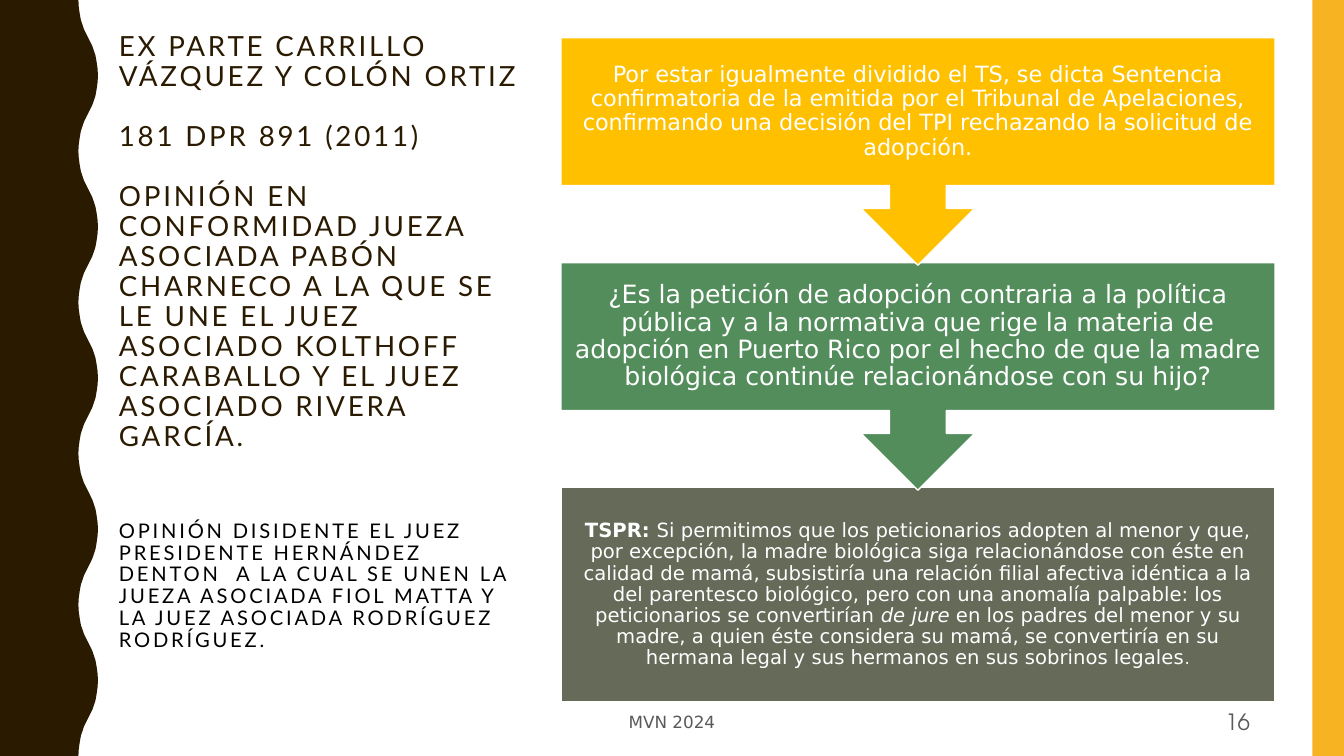
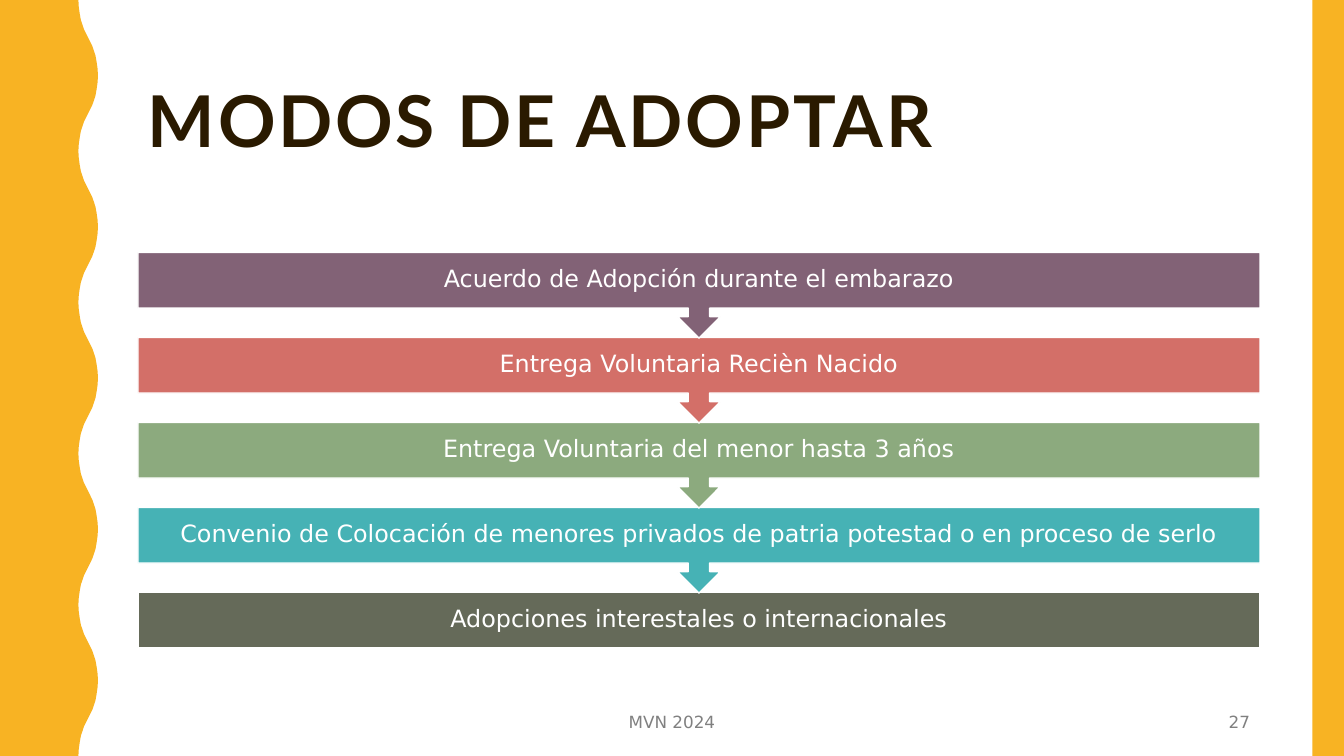
"""Builds two slides on adoption law, each with a wavy side band and a chain of steps."""
from pptx import Presentation
from pptx.dml.color import RGBColor
from pptx.enum.shapes import MSO_SHAPE
from pptx.enum.text import MSO_ANCHOR, PP_ALIGN
from pptx.util import Pt

WIDTH, HEIGHT = 960, 540
GOLD, BROWN, WHITE, BLACK, OLIVE = "F8B323", "2A1A00", "FFFFFF", "000000", "656A59"
BODY, HEAD = "DejaVu Sans", "Lato"
HALF_WAVE = 54
WAVE = [(56, 0), (56.3, 5), (57, 10), (57.8, 14.4), (59, 18), (60, 21), (61.5, 24), (63, 27),
        (64.5, 30), (66, 33), (67, 36), (68.2, 39.6), (69, 44), (69.7, 49), (70, 54)]

SLIDES = [
    {
        "band": BROWN,
        "title_box": (77.8, 23.5, 306, 496),
        "title_anchor": MSO_ANCHOR.TOP,
        "title": [
            ("EX PARTE CARRILLO VÁZQUEZ Y COLÓN ORTIZ", 19.8, BROWN, False, 0),
            ("181 DPR 891 (2011)", 19.8, BROWN, False, 21.4),
            ("OPINIÓN EN CONFORMIDAD JUEZA ASOCIADA PABÓN CHARNECO A LA QUE SE LE UNE EL JUEZ "
             "ASOCIADO KOLTHOFF CARABALLO Y EL JUEZ ASOCIADO RIVERA GARCÍA.", 19.8, BROWN, False, 21.4),
            ("OPINIÓN DISIDENTE EL JUEZ PRESIDENTE HERNÁNDEZ DENTON  A LA CUAL SE UNEN LA JUEZA "
             "ASOCIADA FIOL MATTA Y LA JUEZ ASOCIADA RODRÍGUEZ RODRÍGUEZ.", 14.4, BLACK, False, 49),
        ],
        "footer": "595959",
        "number": ("16", 16, "TeX Gyre Adventor"),
        "chain": (400.6, 26.9, 510.2, 160.7),
        "callout_height": 162.6,
        "last_height": 153.2,
        "steps": [
            ("FFC000", 8.6, [
                ("Por estar igualmente dividido el TS, se dicta Sentencia confirmatoria de la emitida por el "
                 "Tribunal de Apelaciones, confirmando una decisión del TPI rechazando la solicitud de "
                 "adopción.", 16, False, False)]),
            ("528D5B", 9.6, [
                ("¿Es la petición de adopción contraria a la política pública y a la normativa que rige la "
                 "materia de adopción en Puerto Rico por el hecho de que la madre biológica continúe "
                 "relacionándose con su hijo?", 18, False, False)]),
            (OLIVE, 7.8, [
                ("TSPR: ", 14, True, False),
                ("Si permitimos que los peticionarios adopten al menor y que, por excepción, la madre "
                 "biológica siga relacionándose con éste en calidad de mamá, subsistiría una relación filial "
                 "afectiva idéntica a la del parentesco biológico, pero con una anomalía palpable: los "
                 "peticionarios se convertirían ", 14, False, False),
                ("de jure ", 14, False, True),
                ("en los padres del menor y su madre, a quien éste considera su mamá, se convertiría en su "
                 "hermana legal y sus hermanos en sus sobrinos legales", 14, False, False),
                (".", 12, False, False)]),
        ],
    },
    {
        "band": GOLD,
        "title_box": (98.6, 30.2, 801.4, 117.4),
        "title_anchor": MSO_ANCHOR.MIDDLE,
        "title": [("MODOS DE ADOPTAR", 51, BROWN, True, 0)],
        "footer": "808080",
        "number": ("27", 12, BODY),
        "chain": (98.6, 180.3, 801.4, 60.7),
        "callout_height": 61.2,
        "last_height": 39.6,
        "steps": [
            (colour, 9.4, [(text, 17, False, False)]) for colour, text in [
                ("826276", "Acuerdo de Adopción durante el embarazo"),
                ("D36F68", "Entrega Voluntaria Recièn Nacido"),
                ("8CAA7E", "Entrega Voluntaria del menor hasta 3 años"),
                ("46B2B5", "Convenio de Colocación de menores privados de patria potestad o en proceso de serlo"),
                (OLIVE, "Adopciones interestales o internacionales"),
            ]
        ],
    },
]


def paint(sp, fill, line=None):
    sp.shadow.inherit = False
    sp.fill.solid()
    sp.fill.fore_color.rgb = RGBColor.from_string(fill)
    if line:
        sp.line.color.rgb = RGBColor.from_string(line)
        sp.line.width = Pt(1)
    else:
        sp.line.fill.background()


def write(p, text, size, font, colour, bold=False, italic=False):
    r = p.add_run()
    r.text = text
    r.font.size = Pt(size)
    r.font.name = font
    r.font.bold = bold
    r.font.italic = italic
    r.font.color.rgb = RGBColor.from_string(colour)
    return r


prs = Presentation()
prs.slide_width, prs.slide_height = Pt(WIDTH), Pt(HEIGHT)

for page in SLIDES:
    s = prs.slides.add_slide(prs.slide_layouts[6])

    edge = []
    for k in range(HEIGHT // HALF_WAVE):
        for x, y in WAVE:
            edge.append((Pt(126 - x if k % 2 else x), Pt(k * HALF_WAVE + y)))
    outline = s.shapes.build_freeform(0, 0)
    outline.add_line_segments(edge + [(0, Pt(HEIGHT))], close=True)
    paint(outline.convert_to_shape(), page["band"])
    paint(s.shapes.add_shape(MSO_SHAPE.RECTANGLE, Pt(937.5), 0, Pt(22.5), Pt(HEIGHT)), GOLD)

    tf = s.shapes.add_textbox(*map(Pt, page["title_box"])).text_frame
    tf.word_wrap = True
    tf.vertical_anchor = page["title_anchor"]
    tf.margin_top = tf.margin_bottom = 0
    for i, (text, size, colour, bold, before) in enumerate(page["title"]):
        p = tf.add_paragraph() if i else tf.paragraphs[0]
        p.line_spacing = 0.9
        if before:
            p.space_before = Pt(before)
        r = write(p, text, size, HEAD, colour, bold)
        r._r.get_or_add_rPr().set("spc", "200")

    for left, width, align, label in [
        (318, 324, PP_ALIGN.CENTER, ("MVN 2024", 12, BODY)),
        (678, 222, PP_ALIGN.RIGHT, page["number"]),
    ]:
        tf = s.shapes.add_textbox(Pt(left), Pt(502), Pt(width), Pt(27)).text_frame
        tf.word_wrap = True
        tf.vertical_anchor = MSO_ANCHOR.MIDDLE
        tf.paragraphs[0].alignment = align
        write(tf.paragraphs[0], *label, page["footer"])

    left, top, width, pitch = page["chain"]
    last = len(page["steps"]) - 1
    for i, (colour, inset, runs) in reversed(list(enumerate(page["steps"]))):
        kind = MSO_SHAPE.RECTANGLE if i == last else MSO_SHAPE.DOWN_ARROW_CALLOUT
        height = page["last_height"] if i == last else page["callout_height"]
        sp = s.shapes.add_shape(kind, Pt(left), Pt(top + i * pitch), Pt(width), Pt(height))
        paint(sp, colour, WHITE)
        tf = sp.text_frame
        tf.word_wrap = True
        tf.vertical_anchor = MSO_ANCHOR.MIDDLE
        tf.margin_left = tf.margin_right = tf.margin_top = tf.margin_bottom = Pt(inset)
        p = tf.paragraphs[0]
        p.alignment = PP_ALIGN.CENTER
        p.line_spacing = 0.9
        for text, size, bold, italic in runs:
            write(p, text, size, BODY, WHITE, bold, italic)

prs.save("out.pptx")
